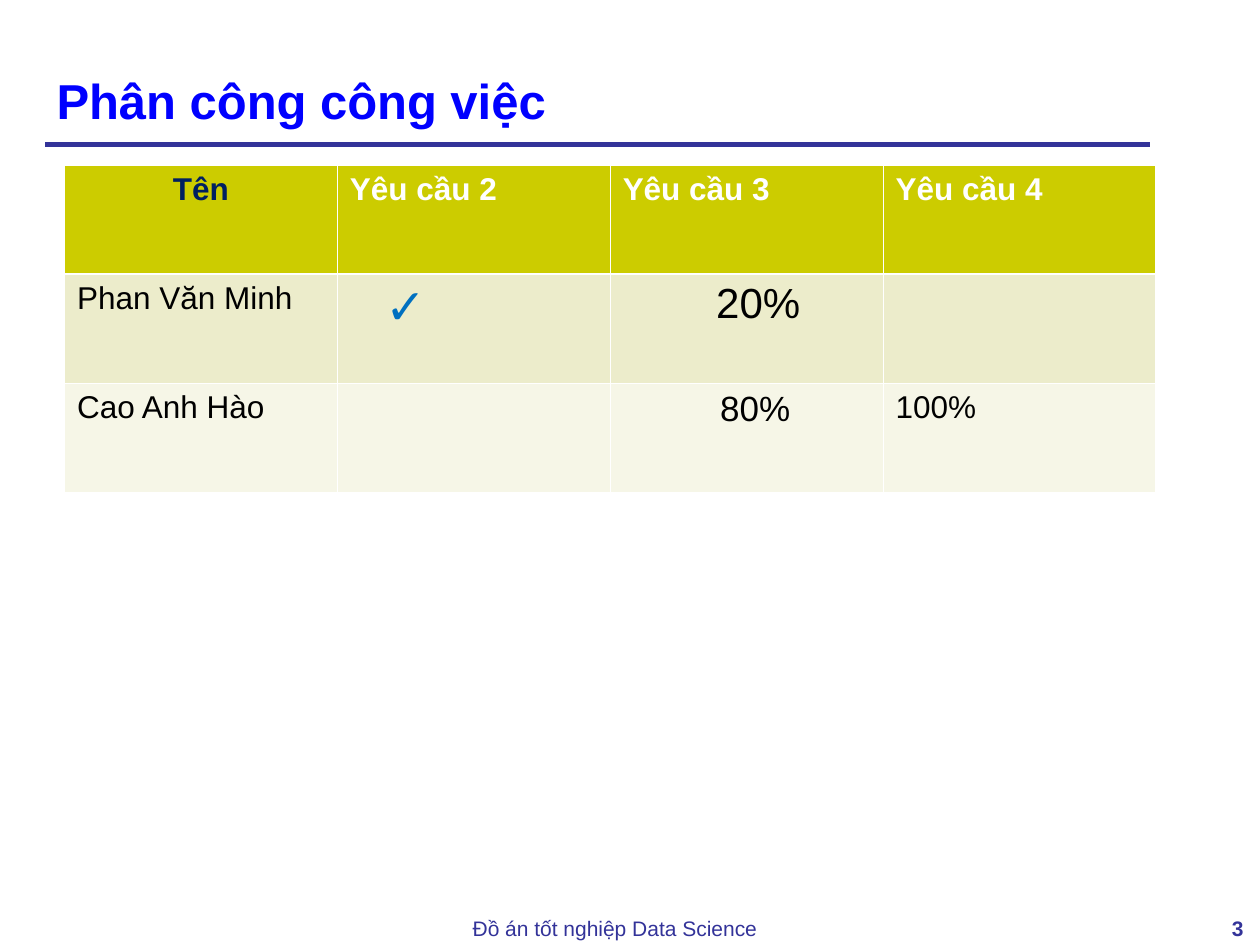
from dataclasses import dataclass

from lxml import etree
from pptx import Presentation
from pptx import util as u
from pptx.dml.color import RGBColor
from pptx.enum import shapes, text
from pptx.oxml.ns import qn

NAVY = "333399"
BLACK = "000000"
WHITE = "FFFFFF"
LEFT, CENTER, RIGHT = text.PP_ALIGN.LEFT, text.PP_ALIGN.CENTER, text.PP_ALIGN.RIGHT


@dataclass
class Label:
    content: str
    size: float = 18
    color: str = BLACK
    bold: bool = False
    align: text.PP_ALIGN = LEFT
    indent: float = 0


@dataclass
class Box:
    left: float
    top: float
    width: float
    height: float
    label: Label
    anchor: text.MSO_ANCHOR = text.MSO_ANCHOR.TOP


@dataclass
class Row:
    fill: str
    top_border: float
    bottom_border: float
    labels: list[Label | None]


BOXES = [
    Box(0.89, 0.53, 22, 2.21, Label("Phân công công việc", 28, "0000FF", True),
        text.MSO_ANCHOR.BOTTOM),
    Box(1.9, 18.34, 21, 0.6, Label("Đồ án tốt nghiệp Data Science", 12, NAVY, align=CENTER)),
    Box(23.32, 18.34, 2, 0.6, Label("3", 12, NAVY, True, RIGHT)),
]

THIN, THICK = 0.45, 1.47
ROWS = [
    Row("CCCC00", THIN, THICK, [
        Label("Tên", color="002060", bold=True, align=CENTER),
        *(Label(f"Yêu cầu {number}", color=WHITE, bold=True) for number in (2, 3, 4)),
    ]),
    Row("ECECCB", THICK, THIN, [
        Label("Phan Văn Minh"),
        Label("✓", 28, "0070C0", indent=0.71),
        Label("20%", 24, align=CENTER, indent=0.47),
        None,
    ]),
    Row("F6F6E7", THIN, THIN, [
        Label("Cao Anh Hào"),
        None,
        Label("80%", 20, align=CENTER, indent=0.35),
        Label("100%"),
    ]),
]


def rgb(value: str) -> RGBColor:
    return RGBColor.from_string(value)


def write_label(frame, label: Label) -> None:
    paragraph = frame.paragraphs[0]
    paragraph.text = label.content
    paragraph.alignment = label.align
    if label.indent:
        properties = paragraph._p.get_or_add_pPr()
        properties.set("marL", str(u.Cm(label.indent)))
        properties.set("indent", "0")
    font = paragraph.font
    font.name = "Arial"
    font.size = u.Pt(label.size)
    font.bold = label.bold
    font.color.rgb = rgb(label.color)


def add_box(slide, box: Box) -> None:
    shape = slide.shapes.add_textbox(
        u.Cm(box.left), u.Cm(box.top), u.Cm(box.width), u.Cm(box.height))
    frame = shape.text_frame
    frame.word_wrap = True
    frame.vertical_anchor = box.anchor
    write_label(frame, box.label)


def add_rule(slide, left: float, right: float, top: float) -> None:
    connector = slide.shapes.add_connector(
        shapes.MSO_CONNECTOR.STRAIGHT, u.Cm(left), u.Cm(top), u.Cm(right), u.Cm(top))
    connector.line.color.rgb = rgb(NAVY)
    connector.line.width = u.Pt(3)
    etree.SubElement(connector._element.spPr, qn("a:effectLst"))


def set_borders(cell, top: float, bottom: float) -> None:
    properties = cell._tc.get_or_add_tcPr()
    sides = {"lnL": THIN, "lnR": THIN, "lnT": top, "lnB": bottom}
    for position, (side, width) in enumerate(sides.items()):
        line = etree.Element(qn(f"a:{side}"), w=str(u.Pt(width)))
        fill = etree.SubElement(line, qn("a:solidFill"))
        etree.SubElement(fill, qn("a:srgbClr"), val=WHITE)
        properties.insert(position, line)


def add_work_table(slide, rows: list[Row], left: float, top: float,
                   column_width: float, row_height: float) -> None:
    columns = len(rows[0].labels)
    table = slide.shapes.add_table(
        len(rows), columns, u.Cm(left), u.Cm(top),
        u.Cm(column_width * columns), u.Cm(row_height * len(rows))).table
    for row_index, row in enumerate(rows):
        for column_index, label in enumerate(row.labels):
            cell = table.cell(row_index, column_index)
            cell.fill.solid()
            cell.fill.fore_color.rgb = rgb(row.fill)
            set_borders(cell, row.top_border, row.bottom_border)
            if label:
                write_label(cell.text_frame, label)


def main() -> None:
    presentation = Presentation()
    presentation.slide_width = u.Cm(25.4)
    presentation.slide_height = u.Cm(19.05)
    slide = presentation.slides.add_slide(presentation.slide_layouts[6])
    add_rule(slide, 0.91, 23.19, 2.92)
    add_work_table(slide, ROWS, 1.3, 3.33, 5.5, 2.2)
    for box in BOXES:
        add_box(slide, box)
    presentation.save("out.pptx")


if __name__ == "__main__":
    main()
